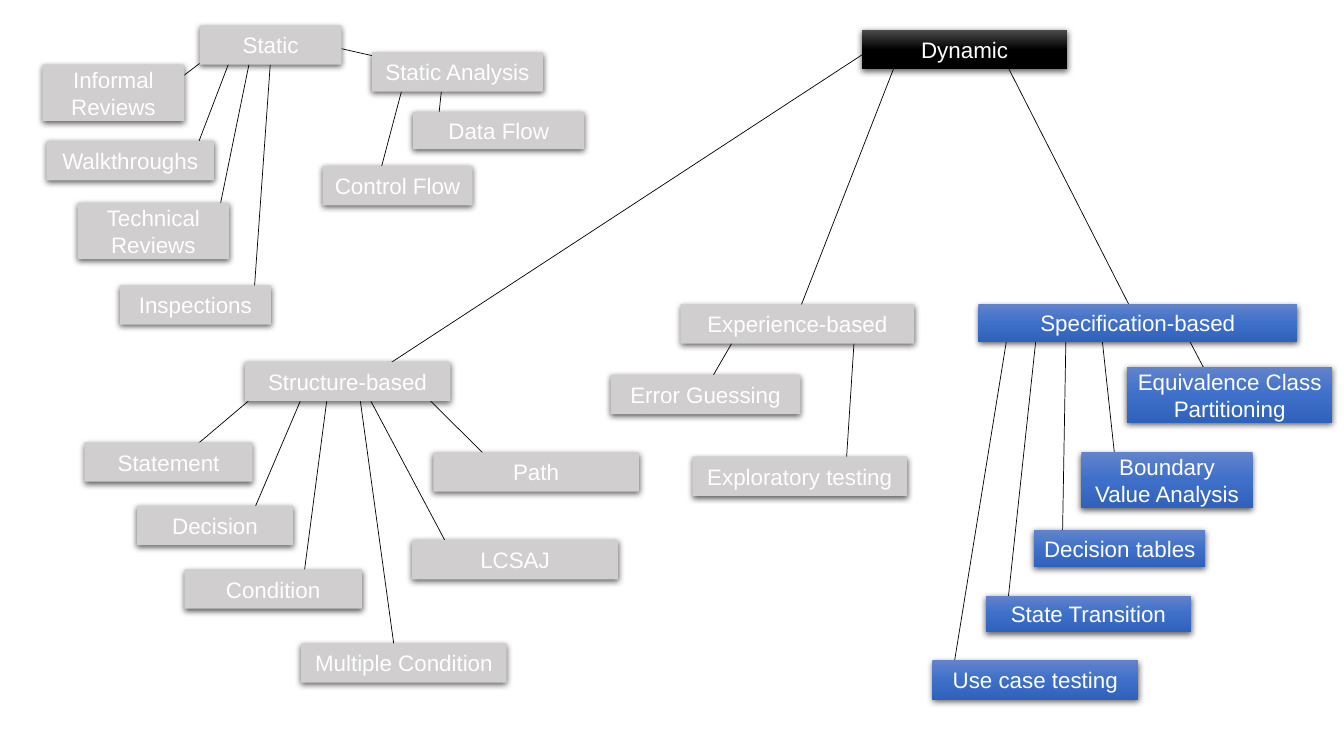
from lxml import etree
from pptx import Presentation
from pptx.dml.color import RGBColor
from pptx.enum.shapes import MSO_CONNECTOR, MSO_SHAPE
from pptx.enum.text import MSO_ANCHOR, PP_ALIGN
from pptx.oxml.ns import qn
from pptx.util import Cm, Pt

RECT = MSO_SHAPE.RECTANGLE
LINE = MSO_CONNECTOR.STRAIGHT
MID = MSO_ANCHOR.MIDDLE
CENTER = PP_ALIGN.CENTER

FONT, SIZE = "Arial", 16
GREY = ["D0CECE"]
BLUE = ["6183CB", "3E70CA", "3062BB"]
BLACK = ["4B4B4B", "000000", "000000"]

# label, (left, top, width, height), link to parent (x1, y1, x2, y2)
STATIC = [
    ("Informal\nReviews", (1.07, 1.63, 3.58, 1.42), (5.66, 1.12, 3.99, 2.39)),
    ("Walkthroughs", (1.17, 3.56, 4.22, 0.99), (5.84, 1.4, 4.83, 4.04)),
    ("Technical Reviews", (1.96, 5.11, 3.81, 1.42), (6.32, 1.4, 5.51, 5.36)),
    ("Inspections", (3.02, 7.19, 3.81, 0.99), (6.81, 1.63, 6.4, 7.42)),
    ("Static Analysis", (9.37, 1.32, 4.32, 0.99), (8.13, 1.12, 10.92, 1.75)),
    ("Data Flow", (10.41, 2.82, 4.32, 0.94), (11.15, 2.03, 11.02, 3.28)),
    ("Control Flow", (8.13, 4.19, 3.78, 0.99), (10.19, 2.03, 9.53, 4.52)),
    ("Static", (5.03, 0.64, 3.58, 0.99), None),
]
EXPERT = [
    ("Error Guessing", (15.39, 9.45, 4.78, 0.99), (18.54, 8.48, 17.48, 10.31)),
    ("Experience-based", (17.15, 7.67, 5.89, 0.99), (22.61, 1.5, 19.91, 8.41)),
    ("Exploratory testing", (17.45, 11.51, 5.41, 0.99), (21.56, 8.05, 21.31, 11.91)),
]
SPECS = [
    ("Specification-based", (24.66, 7.67, 8.03, 0.94), (25.37, 1.63, 28.68, 8.13)),
    ("Equivalence Class Partitioning", (28.4, 9.25, 5.18, 1.4), (29.72, 8.1, 30.76, 10.08)),
    ("Boundary Value Analysis", (27.25, 11.4, 4.32, 1.4), (27.76, 8.41, 28.14, 11.94)),
    ("Decision tables", (26.06, 13.36, 4.32, 0.94), (26.87, 8.05, 26.77, 13.84)),
    ("State Transition", (24.84, 15.01, 5.18, 0.91), (26.16, 8.05, 25.35, 15.62)),
    ("Use case testing", (23.5, 16.64, 5.18, 0.99), (25.43, 8.18, 24.05, 16.69)),
]
STRUCT = [
    ("Structure-based", (6.17, 9.12, 5.18, 0.99), (22.17, 1.09, 9.68, 9.25)),
    ("Statement", (2.13, 11.15, 4.24, 0.99), (6.68, 9.75, 4.6, 11.51)),
    ("Decision", (3.45, 12.75, 3.94, 0.99), (7.72, 9.75, 6.3, 13.08)),
    ("Condition", (4.65, 14.35, 4.47, 0.99), (8.28, 9.75, 7.67, 14.4)),
    ("Multiple Condition", (7.59, 16.21, 5.18, 0.99), (9.04, 9.8, 9.98, 16.64)),
    ("Path", (10.92, 11.4, 5.18, 0.99), (10.24, 9.5, 12.67, 11.91)),
    ("LCSAJ", (10.39, 13.61, 5.18, 0.99), (9.12, 9.68, 11.33, 13.84)),
]
ROOT = [("Dynamic", (21.72, 0.76, 5.18, 0.99), None)]
GROUPS = [(STATIC, GREY), (EXPERT, GREY), (SPECS, BLUE), (STRUCT, GREY), (ROOT, BLACK)]


def color(code):
    return RGBColor.from_string(code)


def node(parent, tag, **attrs):
    return etree.SubElement(parent, qn(tag), attrs)


def paint(shape, tones):
    if len(tones) == 1:
        shape.fill.solid()
        shape.fill.fore_color.rgb = color(tones[0])
        return
    shape.fill.gradient()
    shape.fill.gradient_angle = 270
    stops = next(shape._element.spPr.iter(qn("a:gsLst")))
    for stop in list(stops):
        stops.remove(stop)
    for i, tone in enumerate(tones):
        stop = node(stops, "a:gs", pos=str(i * 50000))
        node(stop, "a:srgbClr", val=tone)


def shade(shape):
    shape.shadow.inherit = False
    effects = shape._element.spPr.find(qn("a:effectLst"))
    outer = node(effects, "a:outerShdw", blurRad=str(Pt(4.5)), dist=str(Pt(1.5)),
                 dir="5400000", algn="ctr", rotWithShape="0")
    tint = node(outer, "a:srgbClr", val="000000")
    node(tint, "a:alpha", val="63000")


def link(slide, ends):
    line = slide.shapes.add_connector(LINE, *map(Cm, ends))
    line.line.color.rgb = color("000000")
    line.line.width = Pt(0.5)
    node(line._element.spPr, "a:effectLst")


def box(slide, label, place, tones):
    shape = slide.shapes.add_shape(RECT, *map(Cm, place))
    shape.line.fill.background()
    paint(shape, tones)
    shade(shape)
    frame = shape.text_frame
    frame.word_wrap = True
    frame.vertical_anchor = MID
    frame.margin_left = frame.margin_right = Cm(0.2)
    frame.text = label
    for para in frame.paragraphs:
        para.alignment = CENTER
        for run in para.runs:
            run.font.name = FONT
            run.font.size = Pt(SIZE)
            run.font.color.rgb = color("FFFFFF")


def main():
    deck = Presentation()
    deck.slide_width, deck.slide_height = Cm(33.87), Cm(19.05)
    slide = deck.slides.add_slide(deck.slide_layouts[6])
    for group, tones in GROUPS:
        for label, place, ends in group:
            if ends:
                link(slide, ends)
    for group, tones in GROUPS:
        for label, place, ends in group:
            box(slide, label, place, tones)
    deck.save("out.pptx")


if __name__ == "__main__":
    main()
